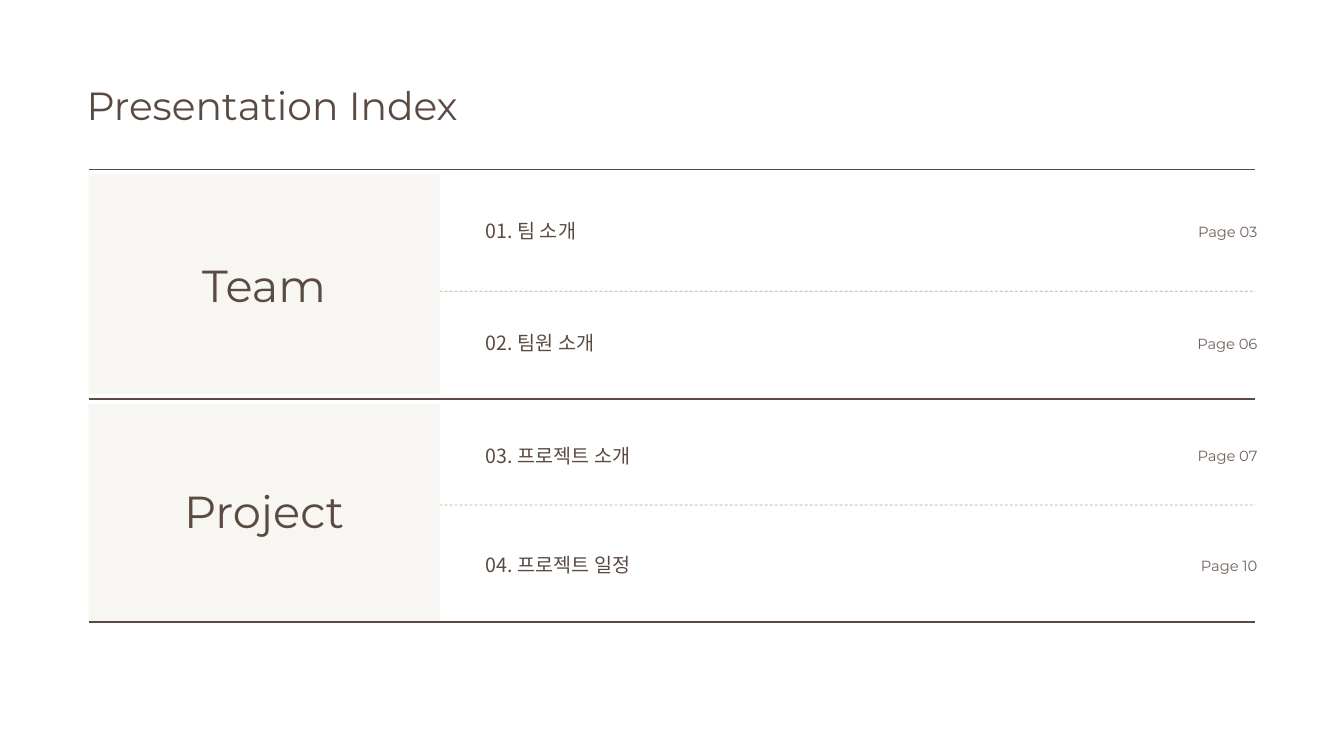
import pptx
import pptx.dml.color
import pptx.enum.dml
import pptx.enum.shapes
import pptx.enum.text
import pptx.oxml
import pptx.oxml.ns
import pptx.util
from lxml import etree
from pptx.util import Inches

BROWN = pptx.dml.color.RGBColor(0x5B, 0x4A, 0x42)
BEIGE = pptx.dml.color.RGBColor(0xEC, 0xE9, 0xE2)
LATIN_FONT = "Montserrat"
KOREAN_FONT = "Noto Sans CJK KR"
ALIGN = pptx.enum.text.PP_ALIGN
qn = pptx.oxml.ns.qn


def set_opacity(element, percent):
    """Make the first solid colour inside the element partly transparent."""
    color = next(element.iter(qn("a:srgbClr")))
    etree.SubElement(color, qn("a:alpha")).set("val", str(percent * 1000))


def write_text(shape, text, size, font_name=LATIN_FONT, align=ALIGN.LEFT, opacity=100):
    frame = shape.text_frame
    frame.word_wrap = False
    frame.auto_size = pptx.enum.text.MSO_AUTO_SIZE.SHAPE_TO_FIT_TEXT
    paragraph = frame.paragraphs[0]
    paragraph.alignment = align
    run = paragraph.add_run()
    run.text = text
    run.font.size = pptx.util.Pt(size)
    run.font.color.rgb = BROWN
    run.font.name = font_name
    properties = run.font._element
    etree.SubElement(properties, qn("a:ea")).set("typeface", font_name)
    if opacity < 100:
        set_opacity(properties, opacity)


presentation = pptx.Presentation()
presentation.slide_width = Inches(13.33)
presentation.slide_height = Inches(7.5)
slide = presentation.slides.add_slide(presentation.slide_layouts[5])
shapes = slide.shapes

title = shapes.title
title.left, title.top = Inches(0.76), Inches(0.75)
title.width, title.height = Inches(4.06), Inches(0.57)
write_text(title, "Presentation Index", 28)

# Section panels with their names
left, panel_width, right = 0.88, 3.48, 12.45
sections = [("Team", 1.73, 2.18, 2.51, 1.5), ("Project", 4.01, 2.16, 4.75, 1.87)]
for name, top, height, label_top, label_width in sections:
    panel = shapes.add_shape(
        pptx.enum.shapes.MSO_SHAPE.RECTANGLE,
        Inches(left), Inches(top), Inches(panel_width), Inches(height),
    )
    panel.shadow.inherit = False
    panel.fill.solid()
    panel.fill.fore_color.rgb = BEIGE
    set_opacity(panel._element.spPr, 40)
    panel.line.fill.background()
    label_left = left + (panel_width - label_width) / 2
    label = shapes.add_textbox(
        Inches(label_left), Inches(label_top), Inches(label_width), Inches(0.64)
    )
    write_text(label, name, 32, align=ALIGN.CENTER)

# Solid section rules and dashed item rules
rules = [
    (left, 1.68, 0.75, False),
    (left, 3.96, 1, False),
    (left, 6.17, 1, False),
    (left + panel_width, 2.89, 0.5, True),
    (left + panel_width, 5.01, 0.5, True),
]
for start, y, weight, dashed in rules:
    rule = shapes.add_connector(
        pptx.enum.shapes.MSO_CONNECTOR.STRAIGHT,
        Inches(start), Inches(y), Inches(right), Inches(y),
    )
    rule.line.color.rgb = BROWN
    rule.line.width = pptx.util.Pt(weight)
    if dashed:
        rule.line.dash_style = pptx.enum.dml.MSO_LINE.DASH
        set_opacity(rule._element.spPr, 50)
    etree.SubElement(rule._element.spPr, qn("a:effectLst"))

# Index items with their page numbers
items = [
    ("01. 팀 소개", 2.12, 1.19, "Page 03", 2.16),
    ("02. 팀원 소개", 3.23, 1.39, "Page 06", 3.27),
    ("03. 프로젝트 소개", 4.35, 1.74, "Page 07", 4.38),
    ("04. 프로젝트 일정", 5.44, 1.75, "Page 10", 5.47),
]
page_width = 0.82
for text, top, width, page, page_top in items:
    item = shapes.add_textbox(Inches(4.72), Inches(top), Inches(width), Inches(0.34))
    write_text(item, text, 14, font_name=KOREAN_FONT)
    page_number = shapes.add_textbox(
        Inches(12.57 - page_width), Inches(page_top), Inches(page_width), Inches(0.28)
    )
    write_text(page_number, page, 10.5, align=ALIGN.RIGHT, opacity=85)

presentation.save("out.pptx")
